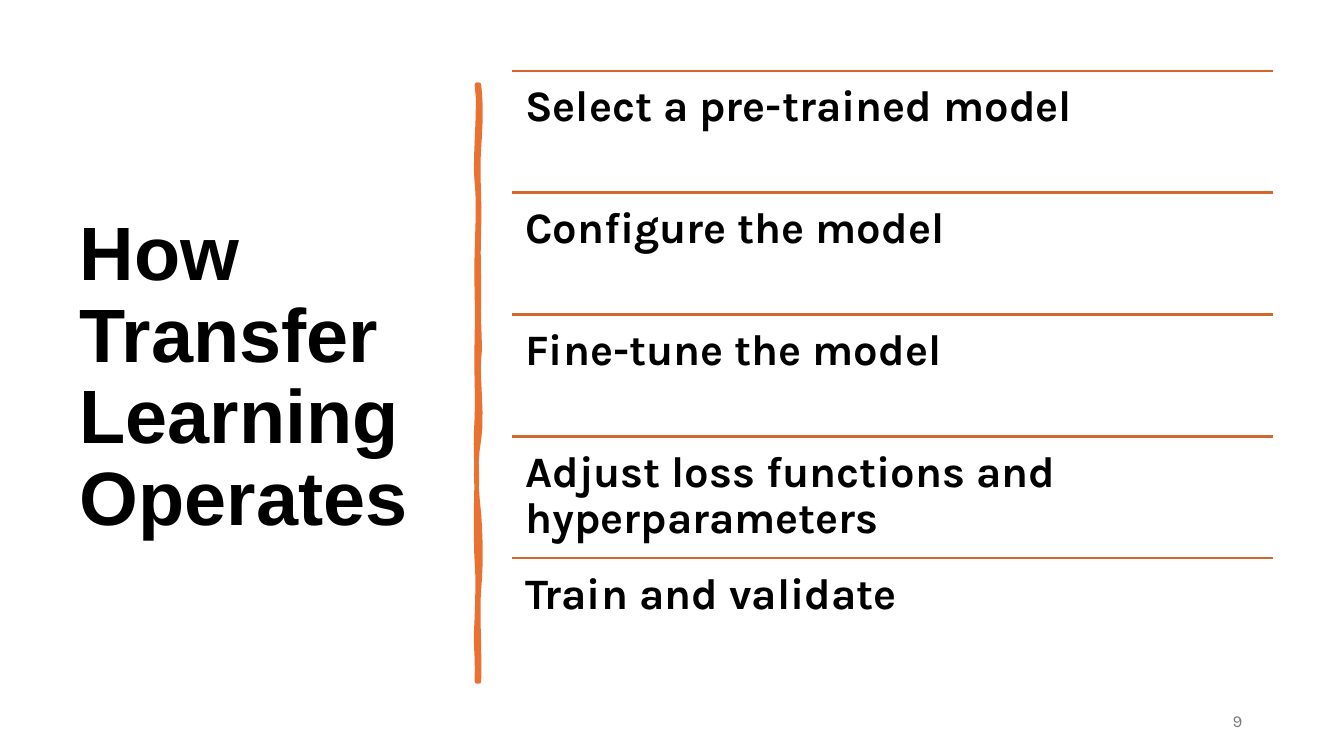
import pptx
import pptx.util
import pptx.dml.color
import pptx.enum.text
import pptx.enum.shapes
import pptx.oxml

Inches = pptx.util.Inches
Pt = pptx.util.Pt
Align = pptx.enum.text.PP_ALIGN
Anchor = pptx.enum.text.MSO_ANCHOR

COLORS = {"ink": "000000", "bar": "E97132", "rule": "D3672D", "page": "797979"}
STEPS = [
    "Select a pre-trained model",
    "Configure the model",
    "Fine-tune the model",
    "Adjust loss functions and hyperparameters",
    "Train and validate",
]
LEFT, TOP, WIDTH, PITCH = 5.08, 0.7, 7.55, 1.21
START = (4.75, 0.84)
CURVES = [
    (4.77, 1.02, 4.77, 1.19, 4.75, 1.46), (4.73, 1.73, 4.76, 1.95, 4.75, 2.26),
    (4.74, 2.57, 4.75, 2.62, 4.75, 2.94), (4.74, 3.25, 4.77, 3.42, 4.75, 3.56),
    (4.73, 3.7, 4.79, 4.14, 4.75, 4.36), (4.71, 4.57, 4.72, 4.84, 4.75, 5.1),
    (4.77, 5.36, 4.77, 5.64, 4.75, 5.84), (4.73, 6.03, 4.76, 6.5, 4.75, 6.76),
    (4.74, 6.76, 4.73, 6.76, 4.73, 6.76), (4.74, 6.46, 4.71, 6.44, 4.73, 6.13),
    (4.74, 5.83, 4.74, 5.7, 4.73, 5.57), (4.72, 5.44, 4.72, 4.95, 4.73, 4.77),
    (4.73, 4.59, 4.71, 4.45, 4.73, 4.15), (4.74, 3.86, 4.72, 3.73, 4.73, 3.35),
    (4.74, 2.98, 4.72, 2.81, 4.73, 2.5), (4.74, 2.18, 4.75, 2, 4.73, 1.81),
    (4.7, 1.63, 4.77, 1.04, 4.73, 0.84), (4.74, 0.84, 4.74, 0.84, 4.75, 0.84),
]


def trace(start, curves, count=6):
    """Return points along a chain of cubic curves."""
    points = []
    for ax, ay, bx, by, cx, cy in curves:
        for n in range(1, count + 1):
            t = n / count
            u = 1 - t
            points.append(tuple(
                u**3 * p + 3 * u * u * t * a + 3 * u * t * t * b + t**3 * c
                for p, a, b, c in zip(start, (ax, ay), (bx, by), (cx, cy))
            ))
        start = (cx, cy)
    return points


class Deck:
    """Hold the style and the current slide."""

    def __init__(self):
        self.show = pptx.Presentation()
        self.show.slide_width = Inches(13.33)
        self.show.slide_height = Inches(7.5)
        self.slide = self.show.slides.add_slide(self.show.slide_layouts[5])
        self.shapes = self.slide.shapes

    def color(self, name):
        """Return a named colour."""
        return pptx.dml.color.RGBColor.from_string(COLORS[name])

    def label(self, shape, text, size, face, ink="ink", bold=False,
              align=Align.LEFT, anchor=Anchor.TOP, space=None, after=0):
        """Put one styled paragraph into a shape."""
        frame = shape.text_frame
        frame.word_wrap = True
        frame.auto_size = pptx.enum.text.MSO_AUTO_SIZE.NONE
        frame.vertical_anchor = anchor
        frame.text = text
        para = frame.paragraphs[0]
        para.alignment = align
        para.line_spacing = space
        para.space_after = Pt(after)
        font = para.font
        font.size, font.name, font.bold = Pt(size), face, bold
        font.color.rgb = self.color(ink)
        return frame

    def title(self, text, *box):
        """Place and fill the title."""
        shape = self.shapes.title
        shape.left, shape.top, shape.width, shape.height = map(Inches, box)
        self.label(shape, text, 54, "Arial", bold=True,
                   anchor=Anchor.MIDDLE, space=0.9)

    def bar(self, start, curves):
        """Draw the wavy upright bar."""
        pen = self.shapes.build_freeform(*map(Inches, start))
        pen.add_line_segments(
            [(Inches(x), Inches(y)) for x, y in trace(start, curves)])
        shape = pen.convert_to_shape()
        shape.shadow.inherit = False
        shape.fill.solid()
        shape.fill.fore_color.rgb = self.color("bar")
        shape.line.color.rgb = self.color("bar")
        shape.line.width = Pt(3.25)

    def page(self, text, *box):
        """Add the page number."""
        shape = self.shapes.add_textbox(*map(Inches, box))
        self.label(shape, text, 12, "Karla", "page", align=Align.RIGHT,
                   anchor=Anchor.MIDDLE, after=6)

    def rule(self, x, y, width):
        """Draw a level line."""
        line = self.shapes.add_connector(
            pptx.enum.shapes.MSO_CONNECTOR.STRAIGHT,
            Inches(x), Inches(y), Inches(x + width), Inches(y))
        line.line.color.rgb = self.color("rule")
        line.line.width = Pt(1.5)
        line._element.spPr.append(pptx.oxml.parse_xml(
            '<a:effectLst xmlns:a='
            '"http://schemas.openxmlformats.org/drawingml/2006/main"/>'))

    def step(self, text, *box):
        """Add one step of the list."""
        shape = self.shapes.add_textbox(*map(Inches, box))
        frame = self.label(shape, text, 31, "Karla", bold=True,
                           space=0.9, after=11)
        frame.margin_left = frame.margin_right = Inches(0.13)
        frame.margin_top = frame.margin_bottom = Inches(0.13)


def main():
    """Build and save the slide."""
    deck = Deck()
    deck.title("How Transfer Learning Operates", 0.69, 0.7, 3.74, 6.11)
    deck.bar(START, CURVES)
    deck.page("9", 9.42, 6.95, 3, 0.4)
    for row, text in enumerate(STEPS):
        y = TOP + row * PITCH
        deck.rule(LEFT, y, WIDTH)
        deck.step(text, LEFT, y, WIDTH, PITCH)
    deck.show.save("out.pptx")


if __name__ == "__main__":
    main()
